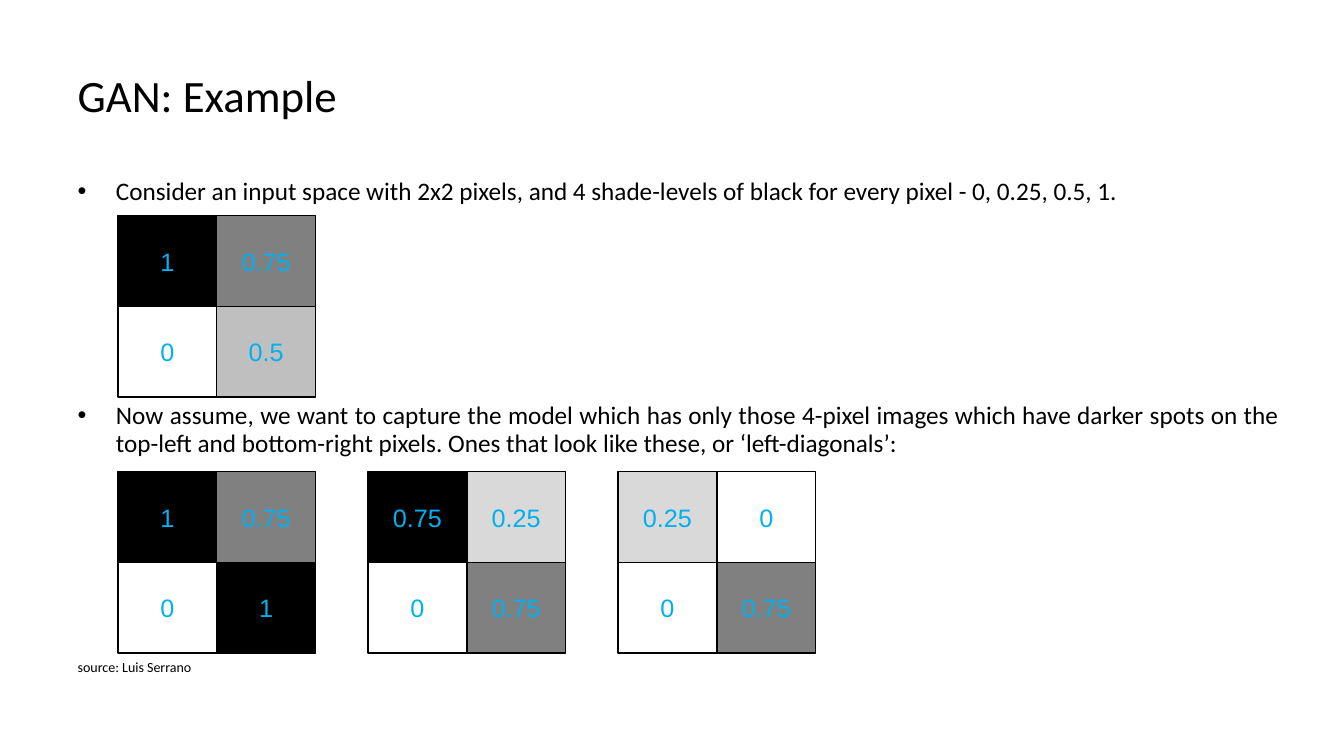
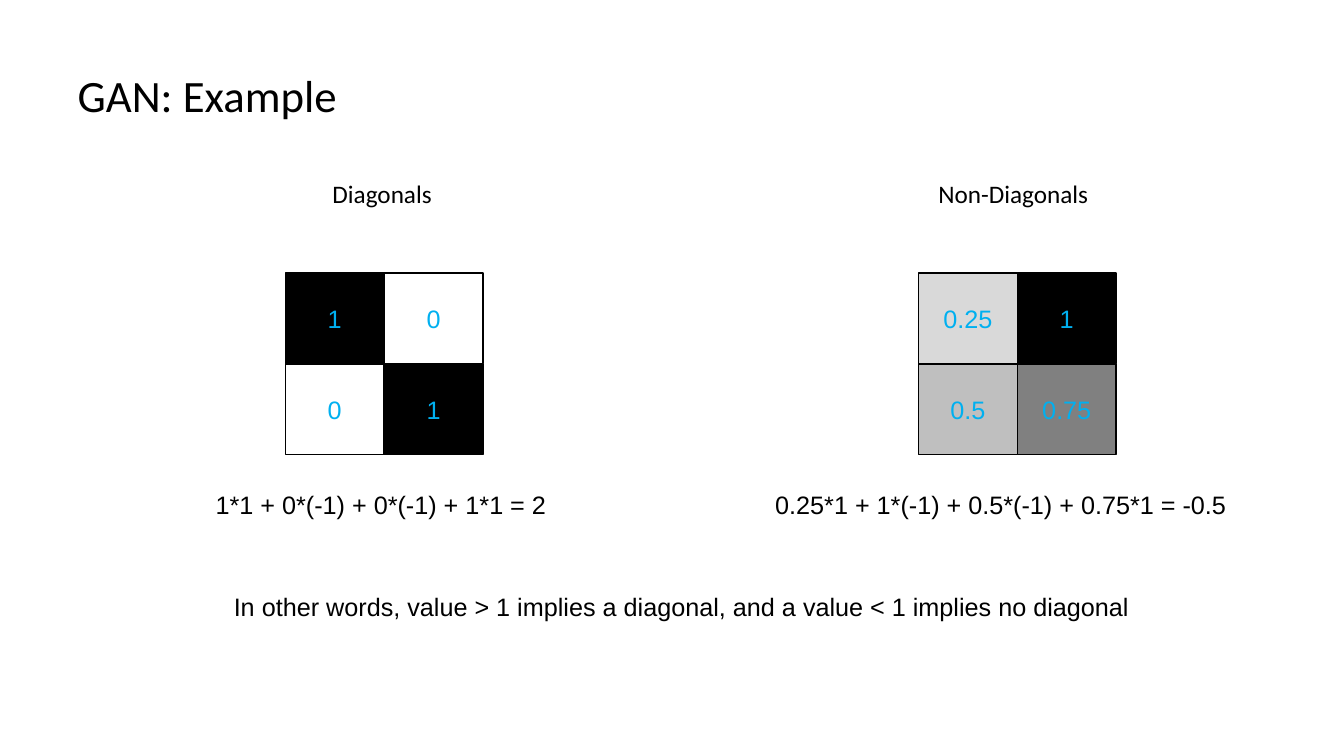
from lxml.etree import SubElement
from pptx import Presentation
from pptx.dml.color import RGBColor
from pptx.enum.shapes import MSO_SHAPE
from pptx.enum.text import MSO_ANCHOR, MSO_AUTO_SIZE, PP_ALIGN
from pptx.oxml.ns import qn
from pptx.util import Inches, Pt

BLACK = "000000"
CYAN = "00B0F0"
SHADES = {"0": "FFFFFF", "0.25": "D9D9D9", "0.5": "BFBFBF", "0.75": "808080", "1": BLACK}
HEADING_FONT = "Calibri"
LABEL_FONT = "Arial"
CELL_WIDTH, CELL_HEIGHT = 0.98, 0.9
GRID_PITCH = 2.48


def rgb(value):
    """Return the colour for a hex string."""
    return RGBColor.from_string(value)


def format_paragraph(paragraph, size, font_name, color=BLACK, alignment=PP_ALIGN.LEFT):
    """Set the alignment and font of a paragraph."""
    paragraph.alignment = alignment
    font = paragraph.font
    font.size = Pt(size)
    font.name = font_name
    font.color.rgb = rgb(color)


def set_bullet(paragraph, bullet=None, indent=0):
    """Give a paragraph a hanging bullet, or none."""
    properties = paragraph._p.get_or_add_pPr()
    properties.set("marL", str(Inches(indent)))
    properties.set("indent", str(Inches(-indent)))
    if bullet:
        SubElement(properties, qn("a:buChar")).set("char", bullet)
    else:
        SubElement(properties, qn("a:buNone"))


def place(shape, left, top, width, height):
    """Move and size a shape in inches."""
    shape.left, shape.top = Inches(left), Inches(top)
    shape.width, shape.height = Inches(width), Inches(height)


def add_titled_slide(presentation, layout_index, title):
    """Add a slide with the shared title style."""
    slide = presentation.slides.add_slide(presentation.slide_layouts[layout_index])
    shape = slide.shapes.title
    place(shape, 0.67, 0.31, 12, 1.25)
    shape.text_frame.text = title
    shape.text_frame.vertical_anchor = MSO_ANCHOR.MIDDLE
    format_paragraph(shape.text_frame.paragraphs[0], 32, HEADING_FONT)
    return slide


def fill_body(placeholder, box, items):
    """Fill a body placeholder with justified paragraphs of text, size, bullet and gap."""
    place(placeholder, *box)
    frame = placeholder.text_frame
    frame.auto_size = MSO_AUTO_SIZE.NONE
    frame.text = "\n".join(text for text, *_ in items)
    for paragraph, (_, size, bullet, gap) in zip(frame.paragraphs, items):
        set_bullet(paragraph, bullet, 0.38 if bullet else 0)
        paragraph.line_spacing = 0.9
        paragraph.space_before = Pt(gap)
        format_paragraph(paragraph, size, HEADING_FONT, alignment=PP_ALIGN.JUSTIFY)


def fill_heading(placeholder, left, text):
    """Turn a body placeholder into a centred column heading."""
    place(placeholder, left, 1.72, 1.98, 0.62)
    frame = placeholder.text_frame
    frame.auto_size = MSO_AUTO_SIZE.NONE
    frame.text = text
    paragraph = frame.paragraphs[0]
    set_bullet(paragraph)
    paragraph.space_before = Pt(0)
    format_paragraph(paragraph, 18, HEADING_FONT, alignment=PP_ALIGN.CENTER)


def add_pixel_grid(slide, left, top, values, shades=None):
    """Draw a 2x2 pixel image row by row, shaded by value unless shades are given."""
    for index, (value, shade) in enumerate(zip(values, shades or values)):
        row, column = divmod(index, 2)
        pixel = slide.shapes.add_shape(
            MSO_SHAPE.RECTANGLE,
            Inches(left + column * CELL_WIDTH),
            Inches(top + row * CELL_HEIGHT),
            Inches(CELL_WIDTH),
            Inches(CELL_HEIGHT),
        )
        pixel.shadow.inherit = False
        pixel.fill.solid()
        pixel.fill.fore_color.rgb = rgb(SHADES[shade])
        pixel.line.color.rgb = rgb(BLACK)
        pixel.line.width = Pt(1)
        frame = pixel.text_frame
        frame.text = value
        frame.vertical_anchor = MSO_ANCHOR.MIDDLE
        format_paragraph(frame.paragraphs[0], 18, LABEL_FONT, CYAN, PP_ALIGN.CENTER)


def add_label(slide, left, top, width, text):
    """Add a line of plain text."""
    label = slide.shapes.add_textbox(Inches(left), Inches(top), Inches(width), Inches(0.4))
    label.text_frame.word_wrap = True
    label.text_frame.text = text
    format_paragraph(label.text_frame.paragraphs[0], 18, LABEL_FONT)


def build_input_space_slide(presentation):
    """Build the slide on the input space and the left-diagonals."""
    slide = add_titled_slide(presentation, 1, "GAN: Example")
    fill_body(slide.placeholders[1], (0.67, 1.72, 12.12, 5.28), [
        ("Consider an input space with 2x2 pixels, and 4 shade-levels of black "
         "for every pixel - 0, 0.25, 0.5, 1.", 18, "•", 0),
        ("Now assume, we want to capture the model which has only those 4-pixel images "
         "which have darker spots on the top-left and bottom-right pixels. "
         "Ones that look like these, or ‘left-diagonals’:", 18, "•", 141),
        ("source: Luis Serrano", 10, None, 145),
    ])
    add_pixel_grid(slide, 1.17, 2.14, ("1", "0.75", "0", "0.5"))
    left_diagonals = [
        (("1", "0.75", "0", "1"), None),
        (("0.75", "0.25", "0", "0.75"), ("1", "0.25", "0", "0.75")),
        (("0.25", "0", "0", "0.75"), None),
    ]
    for index, (values, shades) in enumerate(left_diagonals):
        add_pixel_grid(slide, 1.17 + index * GRID_PITCH, 4.68, values, shades)


def build_comparison_slide(presentation):
    """Build the slide comparing diagonals with non-diagonals."""
    slide = add_titled_slide(presentation, 3, "GAN: Example")
    columns = [
        (1, "Diagonals", 2.8, 2.83, ("1", "0", "0", "1"),
         2.04, 3.53, "1*1 + 0*(-1) + 0*(-1) + 1*1 = 2"),
        (2, "Non-Diagonals", 9.06, 9.11, ("0.25", "1", "0.5", "0.75"),
         7.59, 4.93, "0.25*1 + 1*(-1) + 0.5*(-1) + 0.75*1 = -0.5"),
    ]
    for number, heading, heading_left, grid_left, values, sum_left, sum_width, total in columns:
        fill_heading(slide.placeholders[number], heading_left, heading)
        add_pixel_grid(slide, grid_left, 2.71, values)
        add_label(slide, sum_left, 4.81, sum_width, total)
    add_label(slide, 2.22, 5.82, 9.75,
              "In other words, value > 1 implies a diagonal, and a value < 1 implies no diagonal")


def main():
    """Build and save the presentation."""
    presentation = Presentation()
    presentation.slide_width = Inches(13.33)
    presentation.slide_height = Inches(7.5)
    build_input_space_slide(presentation)
    build_comparison_slide(presentation)
    presentation.save("out.pptx")


if __name__ == "__main__":
    main()
